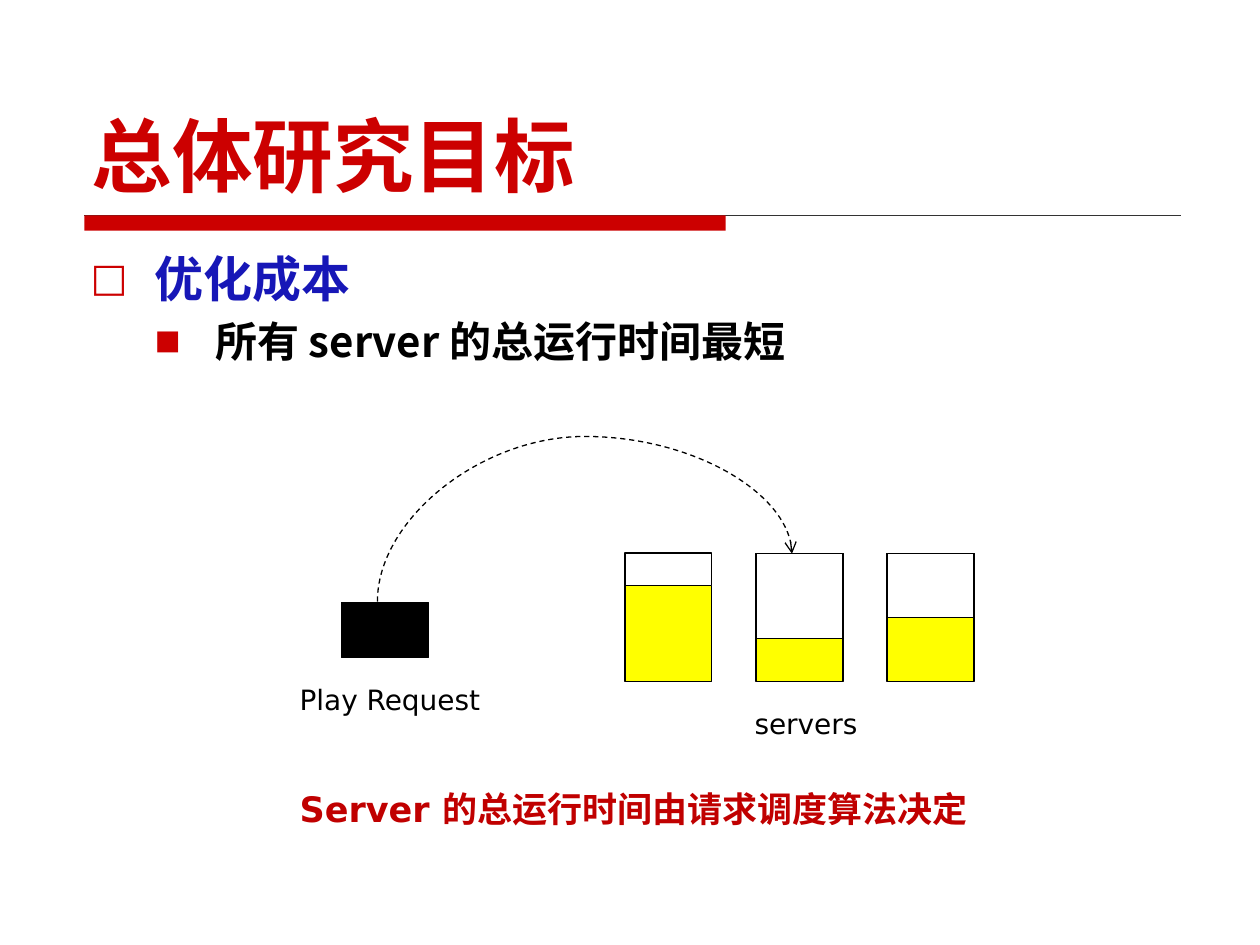
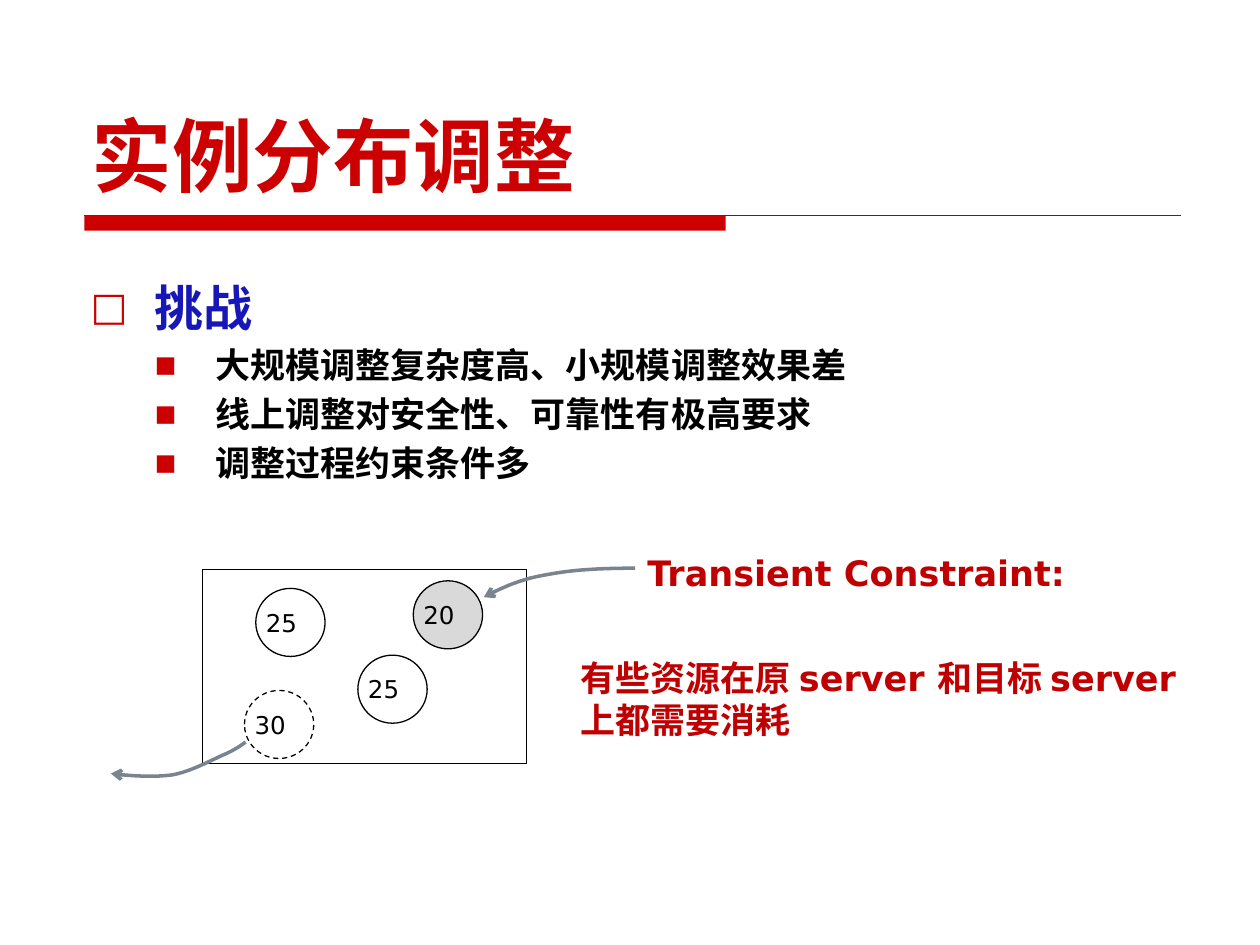
import pptx
import pptx.dml.color
import pptx.enum.dml
import pptx.enum.shapes
import pptx.enum.text
import pptx.oxml.ns
import pptx.util
from lxml import etree

Inches = pptx.util.Inches
Pt = pptx.util.Pt
qn = pptx.oxml.ns.qn
RGB = pptx.dml.color.RGBColor.from_string
SHAPES = pptx.enum.shapes.MSO_SHAPE
CONNECTORS = pptx.enum.shapes.MSO_CONNECTOR
DASH = pptx.enum.dml.MSO_LINE.DASH

COLORS = {
    "accent": "CC0000", "rule": "333333", "topic": "1717B7", "black": "000000",
    "white": "FFFFFF", "load": "FFFF00", "moved": "D9D9D9", "flow": "79848F",
    "remark": "C00000",
}
LATIN, CJK = "DejaVu Sans", "Noto Sans CJK SC"


def add_text(slide, left, top, width, height, lines, latin=LATIN):
    """Add a text box; each line is (text, size, colour, bold)."""
    box = slide.shapes.add_textbox(*map(Inches, (left, top, width, height)))
    frame = box.text_frame
    frame.word_wrap = True
    frame.text = "\n".join(line[0] for line in lines)
    for paragraph, (_, size, color, bold) in zip(frame.paragraphs, lines):
        for run in paragraph.runs:
            run.font.size = Pt(size)
            run.font.bold = bold
            run.font.color.rgb = RGB(COLORS[color])
            run.font.name = latin
            etree.SubElement(run._r.get_or_add_rPr(), qn("a:ea"), typeface=CJK)
    return frame


def add_block(slide, kind, left, top, width, height, fill=None, line="black"):
    """Add a preset shape with a thin outline and an optional fill."""
    block = slide.shapes.add_shape(kind, *map(Inches, (left, top, width, height)))
    block.shadow.inherit = False
    if fill:
        block.fill.solid()
        block.fill.fore_color.rgb = RGB(COLORS[fill])
    else:
        block.fill.background()
    if line:
        block.line.color.rgb = RGB(COLORS[line])
        block.line.width = Pt(0.75)
    else:
        block.line.fill.background()
    return block


prs = pptx.Presentation()
prs.slide_width, prs.slide_height = Inches(10), Inches(7.5)
arrows = []

# Titles, rules and bullet lists: (title, topic, topic spacing, points, point size)
outlines = [
    ("总体研究目标", "优化成本", 1.0, ["所有 server 的总运行时间最短"], 24),
    ("实例分布调整", "挑战", 1.5,
     ["大规模调整复杂度高、小规模调整效果差",
      "线上调整对安全性、可靠性有极高要求",
      "调整过程约束条件多"], 20),
]
for title, topic, topic_spacing, points, point_size in outlines:
    slide = prs.slides.add_slide(prs.slide_layouts[6])

    rule = slide.shapes.add_connector(
        CONNECTORS.STRAIGHT, *map(Inches, (0.67, 1.71, 9.37, 1.71)))
    rule.line.color.rgb = RGB(COLORS["rule"])
    rule.line.width = Pt(0.75)
    etree.SubElement(rule._element.spPr, qn("a:effectLst"))
    add_block(slide, SHAPES.RECTANGLE, 0.67, 1.71, 5.09, 0.12, "accent", None)

    heading = add_text(slide, 0.63, 0.33, 8.75, 1.33, [(title, 46, "accent", True)], CJK)
    heading.vertical_anchor = pptx.enum.text.MSO_ANCHOR.BOTTOM

    lines = [(topic, 28, "topic", True)]
    lines += [(point, point_size, "black", True) for point in points]
    body = add_text(slide, 0.62, 1.92, 9.09, 4.43, lines, CJK)
    for index, paragraph in enumerate(body.paragraphs):
        if index == 0:
            indent, hanging, bullet, scale = 0.51, 0.51, "□", "80000"
            paragraph.line_spacing = topic_spacing
        else:
            indent, hanging, bullet, scale = 0.99, 0.48, "■", "65000"
            paragraph.level = 1
            paragraph.space_before = Pt(0.2 * point_size)
        props = paragraph._p.get_or_add_pPr()
        props.set("marL", str(Inches(indent)))
        props.set("indent", str(-Inches(hanging)))
        bullet_color = etree.SubElement(props, qn("a:buClr"))
        etree.SubElement(bullet_color, qn("a:srgbClr"), val=COLORS["accent"])
        etree.SubElement(props, qn("a:buSzPct"), val=scale)
        etree.SubElement(props, qn("a:buFont"), typeface=LATIN)
        etree.SubElement(props, qn("a:buChar"), char=bullet)

goal_slide, adjust_slide = prs.slides

# Slide 1: servers, each with its free part on top of the load
for index, free_height in enumerate([0.26, 0.68, 0.51]):
    server_left = 4.96 + 1.04 * index
    add_block(goal_slide, SHAPES.RECTANGLE, server_left, 4.39, 0.69, 1.02, "load")
    add_block(goal_slide, SHAPES.RECTANGLE, server_left, 4.39, 0.69, free_height, "white")

# Slide 1: request and its path to the second server
add_block(goal_slide, SHAPES.RECTANGLE, 2.71, 4.78, 0.69, 0.44, "black")
dispatch = goal_slide.shapes.add_connector(
    CONNECTORS.CURVE, *map(Inches, (4.83, 6.23, 4.45, 2.94)))
dispatch.line.color.rgb = RGB(COLORS["black"])
dispatch.line.width = Pt(0.75)
dispatch.line.dash_style = DASH
dispatch_props = dispatch._element.spPr
dispatch_props.find(qn("a:xfrm")).set("rot", str(90 * 60000))
etree.SubElement(dispatch_props.find(qn("a:prstGeom")).find(qn("a:avLst")),
                 qn("a:gd"), name="adj1", fmla="val 345000")
etree.SubElement(dispatch_props, qn("a:effectLst"))
arrows.append(dispatch)

# Slide 1: labels and conclusion
add_text(goal_slide, 2.28, 5.37, 1.9, 0.51, [("Play Request", 16, "black", False)])
add_text(goal_slide, 5.89, 5.56, 1.1, 0.37, [("servers", 16, "black", False)])
add_text(goal_slide, 2.28, 6.2, 5.57, 0.44,
         [("Server 的总运行时间由请求调度算法决定", 20, "remark", True)])

# Slide 2: server with its instances
add_block(adjust_slide, SHAPES.RECTANGLE, 1.61, 4.52, 2.57, 1.54)
instances = [
    ("25", 2.03, 4.67, None, False), ("20", 3.28, 4.61, "moved", False),
    ("25", 2.84, 5.2, None, False), ("30", 1.94, 5.48, None, True),
]
for load, left, top, fill, leaving in instances:
    instance = add_block(adjust_slide, SHAPES.OVAL, left, top, 0.55, 0.54, fill)
    if leaving:
        instance.line.dash_style = DASH
    label = instance.text_frame
    label.margin_left = label.margin_right = label.margin_top = label.margin_bottom = 0
    label.text = load
    label_font = label.paragraphs[0].runs[0].font
    label_font.size = Pt(14)
    label_font.name = LATIN
    label_font.color.rgb = RGB(COLORS["black"])

# Slide 2: migration curves, as chains of cubic segments
migrations = [
    [(1.95, 5.89), (1.92, 5.91), (1.9, 5.93), (1.8, 5.98), (1.7, 6.02),
     (1.53, 6.12), (1.37, 6.15), (1.22, 6.17), (1.05, 6.16), (0.88, 6.14)],
    [(5.04, 4.51), (4.8, 4.51), (4.55, 4.52), (4.35, 4.56),
     (4.15, 4.59), (3.99, 4.66), (3.84, 4.74)],
]
STEPS = 12
for controls in migrations:
    track = []
    for first in range(0, len(controls) - 1, 3):
        for step in range(1, STEPS + 1):
            t = step / STEPS
            weights = ((1 - t) ** 3, 3 * t * (1 - t) ** 2, 3 * t ** 2 * (1 - t), t ** 3)
            segment = controls[first:first + 4]
            track.append(tuple(
                Inches(sum(w * point[axis] for w, point in zip(weights, segment)))
                for axis in (0, 1)))
    builder = adjust_slide.shapes.build_freeform(*map(Inches, controls[0]))
    builder.add_line_segments(track, close=False)
    migration = builder.convert_to_shape()
    migration.shadow.inherit = False
    migration.fill.background()
    migration.line.color.rgb = RGB(COLORS["flow"])
    migration.line.width = Pt(2)
    arrows.append(migration)

# Slide 2: constraint
add_text(adjust_slide, 5.04, 4.33, 4.9, 0.44,
         [("Transient Constraint:", 20, "remark", True)])
add_text(adjust_slide, 4.51, 5.16, 5.23, 0.77,
         [("有些资源在原 server 和目标 server 上都需要消耗", 20, "remark", True)])

# Arrowheads
for arrow in arrows:
    etree.SubElement(arrow.line._get_or_add_ln(), qn("a:tailEnd"), type="arrow")

prs.save("out.pptx")
